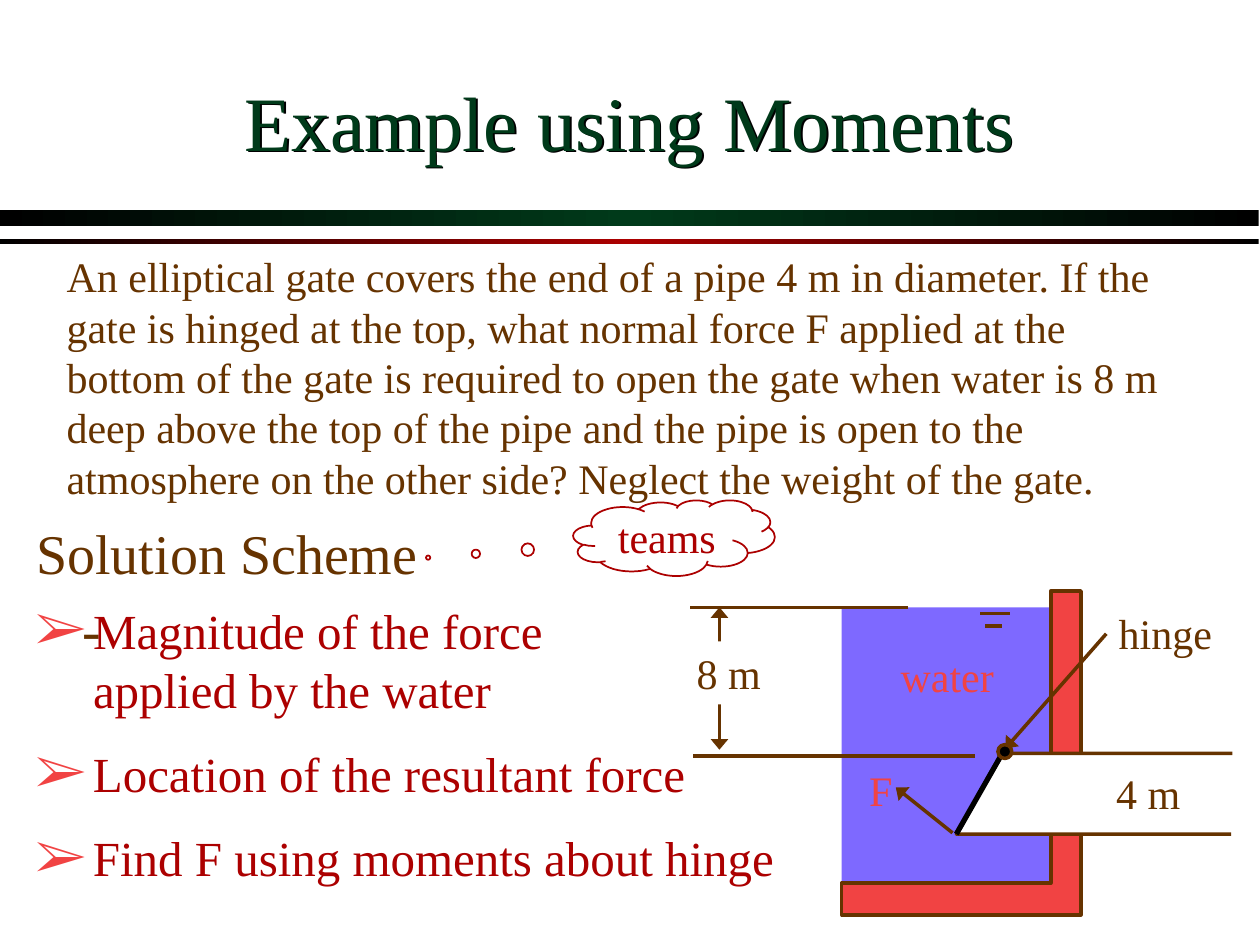
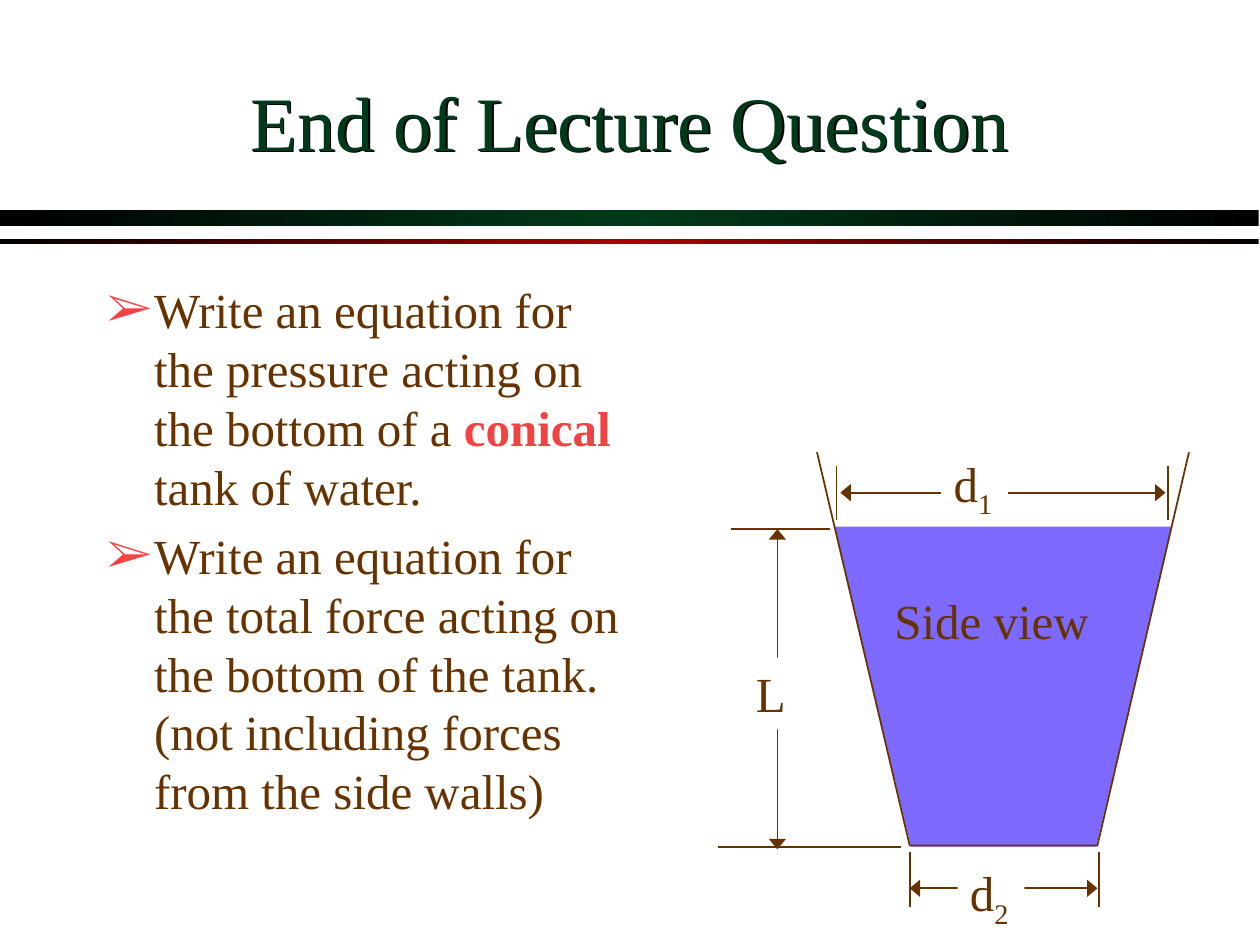
from pptx import Presentation
from pptx.dml.color import RGBColor
from pptx.enum.shapes import MSO_CONNECTOR, MSO_SHAPE
from pptx.enum.text import MSO_ANCHOR, PP_ALIGN
from pptx.oxml import parse_xml
from pptx.oxml.ns import nsdecls, qn
from pptx.util import Inches, Pt

RECT, OVAL, CLOUD = MSO_SHAPE.RECTANGLE, MSO_SHAPE.OVAL, MSO_SHAPE.CLOUD_CALLOUT
STRAIGHT = MSO_CONNECTOR.STRAIGHT
LEFT, CENTER = PP_ALIGN.LEFT, PP_ALIGN.CENTER
TOP, MIDDLE = MSO_ANCHOR.TOP, MSO_ANCHOR.MIDDLE

FONT = "Times New Roman"
COLORS = {"brown": "663300", "green": "003A1A", "crimson": "AC0000", "red": "F14343",
          "water": "7E69FF", "white": "FFFFFF", "black": "000000"}

deck = Presentation()
deck.slide_width, deck.slide_height = Inches(10), Inches(7.5)

# Grid of 100 columns by 75 rows; every place below is given in these units
COL, ROW = deck.slide_width / 100, deck.slide_height / 75


def paint(shape, fill=None, line=None, width=1):
    """Set fill and outline, and drop the theme shadow."""
    shape.shadow.inherit = False
    if fill:
        shape.fill.solid()
        shape.fill.fore_color.rgb = RGBColor.from_string(COLORS[fill])
    else:
        shape.fill.background()
    if line:
        shape.line.color.rgb = RGBColor.from_string(COLORS[line])
        shape.line.width = Pt(width)
    else:
        shape.line.fill.background()


def write(shape, text, size=24, color="brown", align=LEFT, anchor=TOP, wrap=True,
          bullet=False, bullet_size=100, indent=3.75, before=0):
    """Fill a shape with text: a string, or paragraphs made of (text, format) runs."""
    frame = shape.text_frame
    frame.word_wrap, frame.vertical_anchor = wrap, anchor
    paragraphs = [[(text, {})]] if isinstance(text, str) else text
    for number, runs in enumerate(paragraphs):
        paragraph = frame.add_paragraph() if number else frame.paragraphs[0]
        paragraph.alignment = align
        paragraph.space_before = Pt(before)
        if bullet:
            props = paragraph._p.get_or_add_pPr()
            props.set("marL", str(int(indent * COL)))
            props.set("indent", str(int(-indent * COL)))
            for tag in (f'<a:buClr {nsdecls("a")}><a:srgbClr val="{COLORS["red"]}"/></a:buClr>',
                        f'<a:buSzPct {nsdecls("a")} val="{bullet_size * 1000}"/>',
                        f'<a:buFont {nsdecls("a")} typeface="{FONT}"/>',
                        f'<a:buChar {nsdecls("a")} char="➢"/>'):
                props.append(parse_xml(tag))
        for words, look in runs:
            run = paragraph.add_run()
            run.text = words
            run.font.name, run.font.size = FONT, Pt(size)
            run.font.bold = look.get("bold", False)
            run.font.color.rgb = RGBColor.from_string(COLORS[look.get("color", color)])
            if "baseline" in look:
                run._r.get_or_add_rPr().set("baseline", str(look["baseline"] * 1000))


# Shared parts: two gradient bands and a shadowed title
bands = [(16.7, 1.25, "green"), (19, 0.4, "crimson")]
slides = []
for heading in ["Example using Moments", "End of Lecture Question"]:
    slide = deck.slides.add_slide(deck.slide_layouts[6])
    slides.append(slide)
    for top, height, middle in bands:
        band = slide.shapes.add_shape(RECT, 0, int(top * ROW), int(99.9 * COL),
                                      int(height * ROW))
        paint(band)
        stops = "".join(f'<a:gs pos="{share * 1000}"><a:srgbClr val="{COLORS[tone]}"/></a:gs>'
                        for share, tone in [(0, "black"), (50, middle), (100, "black")])
        plain = band._element.spPr.find(qn("a:noFill"))
        plain.addprevious(parse_xml(f'<a:gradFill {nsdecls("a")}><a:gsLst>{stops}</a:gsLst>'
                                    '<a:lin ang="0" scaled="0"/></a:gradFill>'))
        band._element.spPr.remove(plain)
    title = slide.shapes.add_textbox(int(7.5 * COL), int(3.3 * ROW), int(85 * COL),
                                     int(12.5 * ROW))
    write(title, heading, size=44, color="green", align=CENTER, anchor=MIDDLE)
    title._element.spPr.append(parse_xml(
        f'<a:effectLst {nsdecls("a")}><a:outerShdw dist="17961" dir="2700000">'
        f'<a:srgbClr val="{COLORS["black"]}"/></a:outerShdw></a:effectLst>'))
gate, tank = slides

# Water behind the gate
reservoir = gate.shapes.add_shape(RECT, int(66.8 * COL), int(48.2 * ROW), int(16.5 * COL),
                                  int(21.9 * ROW))
paint(reservoir, fill="water")

# Outlines: wall and pipe on the first slide, water and tank on the second
outlines = [
    (gate, [(85.8, 46.9), (85.8, 72.6), (66.8, 72.6), (66.8, 70.1), (83.4, 70.1),
            (83.4, 46.9)], True, "red", "brown", 2),
    (gate, [(97.7, 66.2), (75.9, 66.2), (79.6, 59.8), (97.8, 59.8)], False,
     "white", "brown", 2),
    (tank, [(66.2, 41.8), (72.3, 67.2), (87, 67.2), (93, 41.8)], True, "water", None, 1),
    (tank, [(64.7, 35.3), (72.2, 67.1), (87.1, 67.1), (94.5, 35.3)], True,
     None, "brown", 1),
]
for slide, points, closed, fill, line, width in outlines:
    corners = [(int(x * COL), int(y * ROW)) for x, y in points]
    builder = slide.shapes.build_freeform(*corners[0])
    builder.add_line_segments(corners[1:], close=closed)
    paint(builder.convert_to_shape(), fill, line, width)

# Lines: start, end, colour, width and which ends carry arrowheads
START, END = "headEnd", "tailEnd"
lines = [
    # water surface mark, gate, hinge pointer, force F
    (gate, (77.8, 48.7), (80.2, 48.7), "brown", 2, []),
    (gate, (78.2, 49.7), (79.5, 49.7), "brown", 2, []),
    (gate, (79.6, 59.7), (75.9, 66.2), "black", 3, []),
    (gate, (87.8, 50.3), (79.8, 59.4), "brown", 2, [END]),
    (gate, (75.6, 66.1), (71.1, 62.5), "brown", 2, [END]),
    # depth of the water
    (gate, (72.1, 48.2), (54.8, 48.2), "brown", 2, []),
    (gate, (77.4, 60), (55, 60), "brown", 2, []),
    (gate, (57.1, 48.2), (57.1, 59.5), "brown", 2, [START, END]),
    # tank length L
    (tank, (61.7, 42), (61.7, 67.4), "brown", 1, [START, END]),
    (tank, (65.9, 42), (58, 42), "brown", 1, []),
    (tank, (71.5, 67.2), (57, 67.2), "brown", 1, []),
    # bottom diameter
    (tank, (87.1, 70.5), (72.2, 70.5), "brown", 1, [START, END]),
    (tank, (72.2, 67.6), (72.2, 72), "brown", 1, []),
    (tank, (87.2, 67.6), (87.2, 72), "brown", 1, []),
    # top diameter
    (tank, (92.5, 39.1), (66.7, 39.1), "brown", 1, [START, END]),
    (tank, (66.4, 37), (66.4, 41.3), "brown", 1, []),
    (tank, (92.7, 37), (92.7, 41.3), "brown", 1, []),
]
for slide, (x1, y1), (x2, y2), color, width, arrows in lines:
    stroke = slide.shapes.add_connector(STRAIGHT, int(x1 * COL), int(y1 * ROW),
                                        int(x2 * COL), int(y2 * ROW))
    stroke.line.color.rgb = RGBColor.from_string(COLORS[color])
    stroke.line.width = Pt(width)
    properties = stroke._element.spPr
    for end in arrows:
        properties.find(qn("a:ln")).append(
            parse_xml(f'<a:{end} {nsdecls("a")} type="triangle" w="lg" len="med"/>'))
    properties.append(parse_xml(f'<a:effectLst {nsdecls("a")}/>'))

# Hinge
hinge = gate.shapes.add_shape(OVAL, int(79.2 * COL), int(59.1 * ROW), int(1.1 * COL),
                              int(1.1 * ROW))
paint(hinge, "black", "brown", 2)

# Texts: place, words, fill behind them and format
problem = ("An elliptical gate covers the end of a pipe 4 m in diameter. If the gate is hinged "
           "at the top, what normal force F applied at the bottom of the gate is required to "
           "open the gate when water is 8 m deep above the top of the pipe and the pipe is open "
           "to the atmosphere on the other side? Neglect the weight of the gate.")
questions = [
    [("Write an equation for the pressure acting on the bottom of a ", {}),
     ("conical", {"color": "red", "bold": True}), (" tank of water.", {})],
    [("Write an equation for the total force acting on the bottom of the tank. "
      "(not including forces from the side walls)", {})],
]
diameters = [[[("d", {}), (index, {"baseline": -25})]] for index in "12"]
step = {"size": 28, "color": "crimson", "anchor": MIDDLE, "bullet": True,
        "bullet_size": 114, "indent": 4.6}
label = {"wrap": False}
big_label = {"wrap": False, "size": 28}

texts = [
    (gate, (4.3, 19.4, 88.8, 21), problem, None, {}),
    (gate, (1.9, 40.7, 32.3, 6.3), "Solution Scheme", None, {"size": 32, "wrap": False}),
    (gate, (5.6, 46.7, 4, 6.3), "-", None, {"size": 32}),
    (gate, (1.8, 47.2, 52.1, 10.3), "Magnitude of the force applied by the water", None, step),
    (gate, (1.8, 58.5, 56, 5.7), "Location of the resultant force", None, step),
    (gate, (1.8, 65.2, 62, 5.7), "Find F using moments about hinge", None, step),
    (gate, (87.8, 47.7, 9.4, 5), "hinge", None, label),
    (gate, (70.5, 51.1, 9.4, 5), "water", None, {"color": "red", "wrap": False}),
    (gate, (68, 60.2, 3.9, 5), "F", None, {"color": "red"}),
    (gate, (54.3, 50.9, 7.1, 5), "8 m", "white", label),
    (gate, (87.6, 60.4, 7.1, 5), "4 m", "white", label),
    (tank, (7.5, 21.7, 44, 50.1), questions, None,
     {"size": 28, "bullet": True, "before": 6}),
    (tank, (59, 52.2, 4.4, 5.7), "L", "white", big_label),
    (tank, (74.7, 35.5, 5.3, 5.7), diameters[0], "white", big_label),
    (tank, (76, 68, 5.3, 5.7), diameters[1], "white", big_label),
    (tank, (70, 46.4, 17.4, 5.7), "Side view", None, big_label),
]
for slide, (left, top, width, height), words, fill, look in texts:
    box = slide.shapes.add_textbox(int(left * COL), int(top * ROW), int(width * COL),
                                   int(height * ROW))
    if fill:
        box.fill.solid()
        box.fill.fore_color.rgb = RGBColor.from_string(COLORS[fill])
    write(box, words, **look)

# White cover that leaves the tank open at the top
opening = tank.shapes.add_shape(RECT, int(63.1 * COL), int(29.6 * ROW), int(36.9 * COL),
                                int(6.3 * ROW))
paint(opening, fill="white")

# Thought bubble beside the solution scheme
teams = gate.shapes.add_shape(CLOUD, int(45.5 * COL), int(39.7 * ROW), int(16 * COL),
                              int(6 * ROW))
teams.adjustments[0], teams.adjustments[1] = -1.22, 0.26
paint(teams, line="crimson")
write(teams, "teams", color="crimson", align=CENTER, anchor=MIDDLE)

deck.save("out.pptx")
